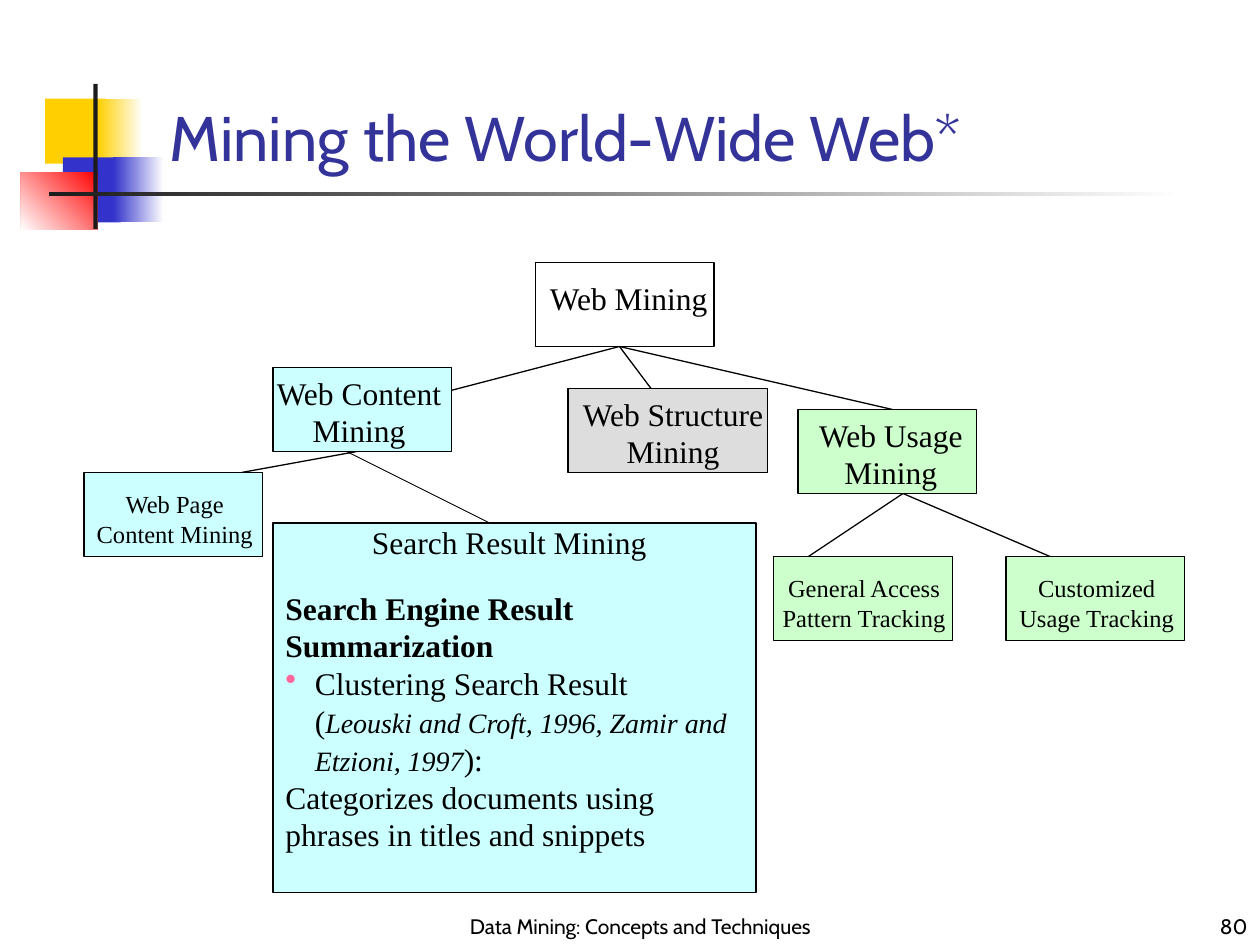
import dataclasses
import pptx
import pptx.dml.color
import pptx.enum.shapes
import pptx.enum.text
import pptx.oxml.ns
import pptx.util
import lxml.etree

PX = 7620
ALIGN = pptx.enum.text.PP_ALIGN
ANCHOR = pptx.enum.text.MSO_ANCHOR


@dataclasses.dataclass(frozen=True)
class Theme:
    heading_font: str = "Cabin"
    body_font: str = "Times New Roman"
    title_size: int = 36
    node_size: int = 18
    citation_size: int = 16
    leaf_size: int = 14
    footer_size: int = 12
    title: str = "333399"
    ink: str = "000000"
    white: str = "FFFFFF"
    dark: str = "1C1C1C"
    yellow: str = "FFCF01"
    blue: str = "3333CC"
    red: str = "FF0000"
    content: str = "CCFFFF"
    structure: str = "DDDDDD"
    usage: str = "CCFFCC"
    bullet: str = "FF6699"


THEME = Theme()


def rgb(value):
    return pptx.dml.color.RGBColor.from_string(value)


def emu(*lengths):
    return [length * PX for length in lengths]


def add_rectangle(slide, box, fill=None, outlined=False, fade=None, angle=180):
    shape = slide.shapes.add_shape(pptx.enum.shapes.MSO_SHAPE.RECTANGLE, *emu(*box))
    shape.shadow.inherit = False
    if fade:
        shape.fill.gradient()
        shape.fill.gradient_angle = angle
        for stop, color in zip(shape.fill.gradient_stops, fade):
            stop.color.rgb = rgb(color)
    elif fill:
        shape.fill.solid()
        shape.fill.fore_color.rgb = rgb(fill)
    else:
        shape.fill.background()
    if outlined:
        shape.line.color.rgb = rgb(THEME.ink)
        shape.line.width = pptx.util.Pt(0.75)
    else:
        shape.line.fill.background()


def add_line(slide, start, end, width=0.75):
    connector = slide.shapes.add_connector(
        pptx.enum.shapes.MSO_CONNECTOR.STRAIGHT, *emu(*start, *end))
    connector.line.color.rgb = rgb(THEME.ink)
    connector.line.width = pptx.util.Pt(width)
    lxml.etree.SubElement(connector._element.spPr, pptx.oxml.ns.qn("a:effectLst"))


def add_text_frame(slide, box, wrap=True, anchor=ANCHOR.TOP):
    frame = slide.shapes.add_textbox(*emu(*box)).text_frame
    frame.word_wrap = wrap
    frame.vertical_anchor = anchor
    return frame


def add_paragraph(frame, first=False, align=ALIGN.LEFT):
    paragraph = frame.paragraphs[0] if first else frame.add_paragraph()
    paragraph.alignment = align
    return paragraph


def add_run(paragraph, text, size, font=THEME.body_font, color=THEME.ink,
            bold=False, italic=False):
    run = paragraph.add_run()
    run.text = text
    run.font.name = font
    run.font.size = pptx.util.Pt(size)
    run.font.color.rgb = rgb(color)
    run.font.bold = bold
    run.font.italic = italic


def add_bullet(paragraph, indent):
    properties = paragraph._p.get_or_add_pPr()
    properties.set("marL", str(indent * PX))
    properties.set("indent", str(-indent * PX))
    color = lxml.etree.SubElement(properties, pptx.oxml.ns.qn("a:buClr"))
    lxml.etree.SubElement(color, pptx.oxml.ns.qn("a:srgbClr"), val=THEME.bullet)
    lxml.etree.SubElement(properties, pptx.oxml.ns.qn("a:buChar"), char="•")


def add_ornament(slide, box):
    left, top, width, height = box
    add_rectangle(slide, (left + 23, top + 14, 58, 62), THEME.yellow)
    add_rectangle(slide, (left + 73, top + 14, 43, 62), fade=(THEME.white, THEME.yellow))
    add_rectangle(slide, (left + 40, top + 70, 55, 62), THEME.blue)
    add_rectangle(slide, (left + 88, top + 70, 48, 62), fade=(THEME.white, THEME.blue))
    add_rectangle(slide, (left, top + 84, 73, 55), fade=(THEME.red, THEME.white), angle=225)
    add_rectangle(slide, (left + 69, top, 4, height), THEME.dark)
    add_rectangle(slide, (left + 27, top + 103, width - 27, 4),
                  fade=(THEME.white, THEME.dark))


def add_single_text(slide, box, text, size, color, align, anchor):
    frame = add_text_frame(slide, box, anchor=anchor)
    paragraph = add_paragraph(frame, True, align)
    add_run(paragraph, text, size, THEME.heading_font, color)


def add_node(slide, box, fill, lines, size, label_offset, label_width):
    add_rectangle(slide, box, fill, outlined=True)
    left, top, width, height = box
    shift, drop = label_offset
    label_height = 84 if size == THEME.node_size else 68
    label = (left + shift, top + drop, label_width, label_height)
    frame = add_text_frame(slide, label, wrap=False)
    align = ALIGN.CENTER if len(lines) > 1 else ALIGN.LEFT
    for index, line in enumerate(lines):
        add_run(add_paragraph(frame, index == 0, align), line, size)


def add_search_panel(slide, box):
    add_rectangle(slide, box, THEME.content, outlined=True)
    left, top, width, height = box
    frame = add_text_frame(slide, (left, top - 6, width - 10, height - 28))
    size = THEME.node_size

    heading = add_paragraph(frame, True, ALIGN.CENTER)
    heading.space_after = pptx.util.Pt(16)
    add_run(heading, "Search Result Mining", size)

    add_run(add_paragraph(frame), "Search Engine Result Summarization", size, bold=True)

    clustering = add_paragraph(frame)
    add_bullet(clustering, 28)
    add_run(clustering, "Clustering Search Result (", size)
    add_run(clustering, "Leouski and Croft, 1996, Zamir and Etzioni, 1997",
            THEME.citation_size, italic=True)
    add_run(clustering, "):", size)

    add_run(add_paragraph(frame),
            "Categorizes documents using phrases in titles and snippets", size)


def add_tree(slide, box):
    left, top, width, height = box
    root, content, usage = (510, 80), (260, 100), (780, 220)
    links = [
        (root, (770, 140), 0.75),
        (root, (540, 120), 0.75),
        (root, (280, 140), 0.75),
        (usage, (690, 280), 0.75),
        (usage, (920, 280), 0.75),
        (content, (150, 200 - 0), 0.75),
        ((250, 180), (390, 250), 0.5),
    ]
    links[5] = ((260, 180), (150, 200), 0.75)
    for start, end, line_width in links:
        add_line(slide, (left + start[0], top + start[1]),
                 (left + end[0], top + end[1]), line_width)

    nodes = [
        (430, 0, 170, None, ["Web Mining"], THEME.node_size, (2, 10), 176),
        (180, 100, 170, THEME.content, ["Web Content", "Mining"], THEME.node_size, (-9, 0), 182),
        (461, 120, 190, THEME.structure, ["Web Structure", "Mining"], THEME.node_size, (1, 0), 198),
        (680, 140, 170, THEME.usage, ["Web Usage", "Mining"], THEME.node_size, (7, 0), 163),
        (0, 200, 170, THEME.content, ["Web Page", "Content Mining"], THEME.leaf_size, (0, 10), 173),
        (657, 280, 170, THEME.usage, ["General Access", "Pattern Tracking"], THEME.leaf_size, (-4, 10), 180),
        (878, 280, 170, THEME.usage, ["Customized", "Usage Tracking"], THEME.leaf_size, (0, 10), 173),
    ]
    for x, y, node_width, *details in nodes:
        add_node(slide, (left + x, top + y, node_width, 80), *details)
    add_search_panel(slide, (left + 180, top + 248, 460, height - 248))


def main():
    presentation = pptx.Presentation()
    presentation.slide_width, presentation.slide_height = emu(1200, 900)
    slide = presentation.slides.add_slide(presentation.slide_layouts[6])
    add_ornament(slide, (20, 80, 1107, 138))
    add_single_text(slide, (150, 90, 1022, 80), "Mining the World-Wide Web*",
                    THEME.title_size, THEME.title, ALIGN.LEFT, ANCHOR.MIDDLE)
    add_tree(slide, (80, 250, 1048, 600))
    add_single_text(slide, (420, 830, 380, 70), "Data Mining: Concepts and Techniques",
                    THEME.footer_size, THEME.ink, ALIGN.CENTER, ANCHOR.BOTTOM)
    add_single_text(slide, (950, 840, 250, 60), "80",
                    THEME.footer_size, THEME.ink, ALIGN.RIGHT, ANCHOR.BOTTOM)
    presentation.save("out.pptx")


if __name__ == "__main__":
    main()
